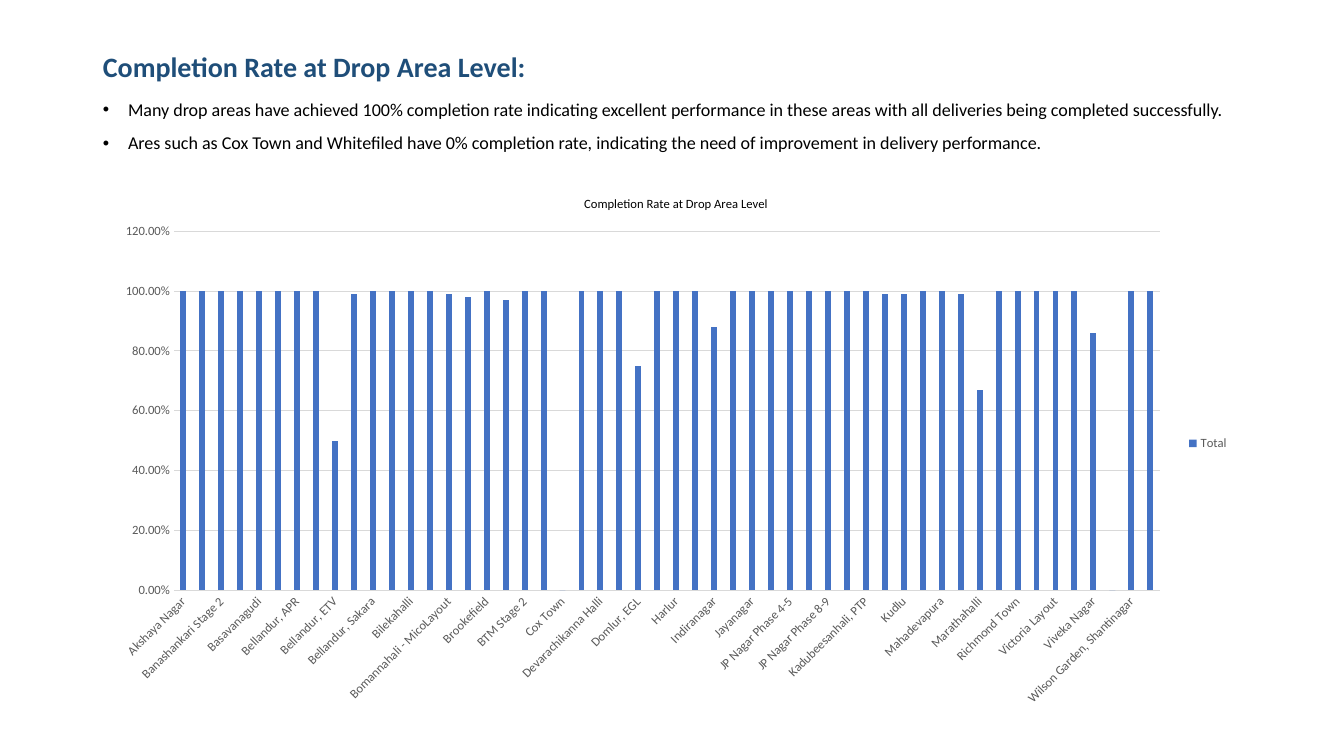
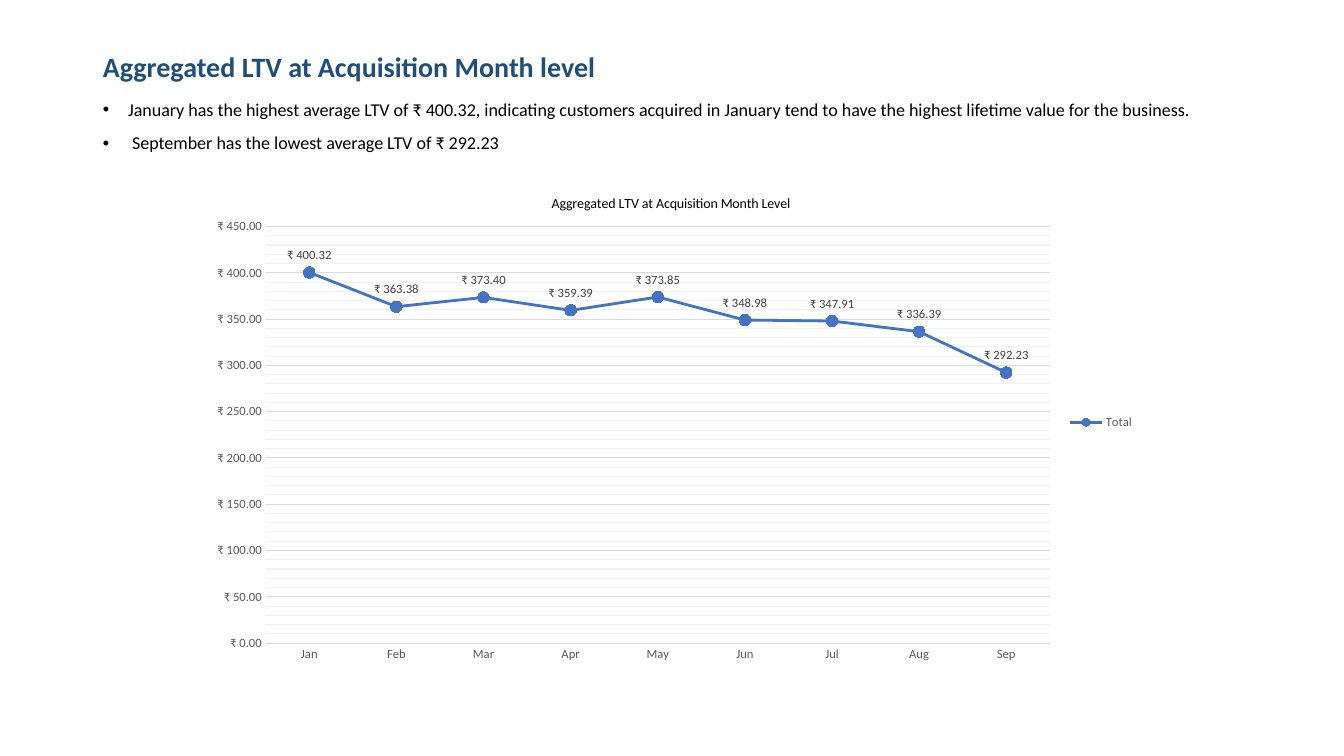
from pptx import Presentation
from pptx.chart.data import CategoryChartData
from pptx.dml.color import RGBColor
from pptx.enum.chart import (XL_CHART_TYPE, XL_LABEL_POSITION, XL_LEGEND_POSITION,
                             XL_MARKER_STYLE, XL_TICK_MARK)
from pptx.enum.text import MSO_ANCHOR, MSO_AUTO_SIZE, PP_ALIGN
from pptx.oxml import parse_xml
from pptx.oxml.ns import nsdecls, qn
from pptx.util import Inches, Pt

FONT = "Calibri"
NAVY = RGBColor(0x1F, 0x4E, 0x79)
BLUE = RGBColor(0x44, 0x72, 0xC4)
BLACK = RGBColor(0, 0, 0)
DARK = RGBColor(0x40, 0x40, 0x40)
GREY = RGBColor(0x59, 0x59, 0x59)
RULE = RGBColor(0xD9, 0xD9, 0xD9)
FAINT = RGBColor(0xF2, 0xF2, 0xF2)
RUPEES = '"₹"\\ #,##0.00'

# Content: completion rate is 1 unless listed as an exception
AREAS = [
    "Akshaya Nagar", "Arekere", "Banashankari Stage 2", "Bannerghatta", "Basavanagudi",
    "Bellandur - Off Sarjapur Road", "Bellandur, APR", "Bellandur, Workpark",
    "Bellandur, ETV", "Bellandur, Green Glen", "Bellandur, Sakara",
    "Bellandur, Sarjapur Road", "Bilekahalli", "Binnipet", "Bomannahali - MicoLayout",
    "Bommanahalli", "Brookefield", "BTM Stage 1", "BTM Stage 2", "Challagatta",
    "Cox Town", "CV Raman Nagar", "Devarachikanna Halli", "Doddanekundi", "Domlur, EGL",
    "Frazer Town", "Harlur", "HSR Layout", "Indiranagar", "ITI Layout", "Jayanagar",
    "JP Nagar Phase 1-3", "JP Nagar Phase 4-5", "JP Nagar Phase 6-7",
    "JP Nagar Phase 8-9", "Kadubeesanhali, Parkside", "Kadubeesanhali, PTP",
    "Koramangala, Ejipura", "Kudlu", "Kumaraswamy Layout", "Mahadevapura",
    "Manipal County", "Marathahalli", "Pattandur", "Richmond Town", "Sarjapur Road",
    "Victoria Layout", "Vimanapura", "Viveka Nagar", "Whitefield",
    "Wilson Garden, Shantinagar", "Yemalur",
]
BELOW_FULL = {
    "Bellandur, ETV": 0.5, "Bellandur, Green Glen": 0.99,
    "Bomannahali - MicoLayout": 0.99, "Bommanahalli": 0.98, "BTM Stage 1": 0.97,
    "Cox Town": 0, "Domlur, EGL": 0.75, "Indiranagar": 0.88, "Koramangala, Ejipura": 0.99,
    "Kudlu": 0.99, "Manipal County": 0.99, "Marathahalli": 0.67, "Viveka Nagar": 0.86,
    "Whitefield": 0,
}
LTV = {"Jan": 400.32, "Feb": 363.38, "Mar": 373.4, "Apr": 359.39, "May": 373.85,
       "Jun": 348.98, "Jul": 347.91, "Aug": 336.39, "Sep": 292.23}

# box: inches; plot and title_at: fractions of the chart
SLIDES = [
    dict(title="Completion Rate at Drop Area Level:",
         bullets=["Many drop areas have achieved 100% completion rate indicating excellent "
                  "performance in these areas with all deliveries being completed successfully.",
                  "Ares such as Cox Town and Whitefiled have 0% completion rate, indicating "
                  "the need of improvement in delivery performance."],
         kind=XL_CHART_TYPE.COLUMN_CLUSTERED, box=(1.05, 1.7, 11.24, 5.4),
         data={a: BELOW_FULL.get(a, 1) for a in AREAS}, fmt="0.00%", top=1.2, step=0.2,
         heading="Completion Rate at Drop Area Level", heading_size=9,
         title_at=(0.42, 0.04), plot=(0.06, 0.11, 0.87, 0.66)),
    dict(title="Aggregated LTV at Acquisition Month level",
         bullets=["January has the highest average LTV of ₹ 400.32, indicating customers "
                  "acquired in January tend to have the highest lifetime value for the business.",
                  " September has the lowest average LTV of ₹ 292.23"],
         kind=XL_CHART_TYPE.LINE_MARKERS, box=(1.98, 1.7, 9.37, 4.98),
         data=LTV, fmt=RUPEES, top=450, step=50,
         heading="Aggregated LTV at Acquisition Month Level", heading_size=10,
         title_at=(0.37, 0.04), plot=(0.07, 0.11, 0.83, 0.83)),
]


def set_font(font, size, color, bold=False):
    font.name, font.size, font.bold = FONT, Pt(size), bold
    font.color.rgb = color


def add_text(p, text, size, color, bold=False, before=0):
    p.alignment = PP_ALIGN.LEFT
    p.line_spacing = 0.9
    p.space_before = Pt(before)
    r = p.add_run()
    r.text = text
    set_font(r.font, size, color, bold)


def layout_xml(values, inner=False):
    names = ("x", "y", "w", "h")[:len(values)]
    target = '<c:layoutTarget val="inner"/>' if inner else ""
    modes = "".join(f'<c:{n}Mode val="edge"/>' for n in names[:2])
    sizes = "".join(f'<c:{n} val="{v}"/>' for n, v in zip(names, values))
    return parse_xml(f'<c:layout {nsdecls("c")}><c:manualLayout>{target}{modes}{sizes}'
                     '</c:manualLayout></c:layout>')


def place(element, layout, index):
    for old in element.findall(layout.tag):
        element.remove(old)
    element.insert(index, layout)


def rule(line, color):
    line.color.rgb = color
    line.width = Pt(0.75)


def add_minor_gridlines(axis, color):
    axis.has_minor_gridlines = True
    axis._element.find(qn("c:minorGridlines")).append(parse_xml(
        f'<c:spPr {nsdecls("c", "a")}><a:ln w="{Pt(0.75)}"><a:solidFill>'
        f'<a:srgbClr val="{color}"/></a:solidFill></a:ln></c:spPr>'))


def add_chart(s, c):
    data = CategoryChartData(number_format=c["fmt"])
    data.categories = list(c["data"])
    data.add_series("Total", list(c["data"].values()))
    chart = s.shapes.add_chart(c["kind"], *map(Inches, c["box"]), data).chart
    set_font(chart.font, 10, BLACK)

    # Heading, plot area and legend
    tf = chart.chart_title.text_frame
    r = tf.paragraphs[0].add_run()
    r.text = c["heading"]
    set_font(r.font, c["heading_size"], BLACK)
    chart.chart_title.include_in_layout = False
    place(chart.chart_title._element, layout_xml(c["title_at"]), 1)
    place(chart._chartSpace.chart.plotArea, layout_xml(c["plot"], inner=True), 0)
    chart.has_legend = True
    chart.legend.position = XL_LEGEND_POSITION.RIGHT
    chart.legend.include_in_layout = False
    set_font(chart.legend.font, 9, GREY)

    # Axes
    cat, val = chart.category_axis, chart.value_axis
    for axis in (cat, val):
        axis.major_tick_mark = axis.minor_tick_mark = XL_TICK_MARK.NONE
        set_font(axis.tick_labels.font, 9, GREY)
    rule(cat.format.line, RULE)
    val.format.line.fill.background()
    rule(val.major_gridlines.format.line, RULE)
    val.minimum_scale, val.maximum_scale, val.major_unit = 0, c["top"], c["step"]
    val.tick_labels.number_format = c["fmt"]
    val.tick_labels.number_format_is_linked = False

    # Series
    plot = chart.plots[0]
    plot.vary_by_categories = False
    series = plot.series[0]
    if c["kind"] == XL_CHART_TYPE.COLUMN_CLUSTERED:
        plot.gap_width, plot.overlap = 219, -27
        series.format.fill.solid()
        series.format.fill.fore_color.rgb = BLUE
        cat._element.txPr.bodyPr.set("rot", "-2700000")
        return
    val.minor_unit = c["step"] / 5
    add_minor_gridlines(val, FAINT)
    series.smooth = False
    series.format.line.color.rgb = BLUE
    series.format.line.width = Pt(2)
    marker = series.marker
    marker.style, marker.size = XL_MARKER_STYLE.CIRCLE, 8
    marker.format.fill.solid()
    marker.format.fill.fore_color.rgb = BLUE
    marker.format.line.color.rgb = BLUE
    labels = series.data_labels
    labels.show_value = True
    labels.position = XL_LABEL_POSITION.ABOVE
    labels.number_format = c["fmt"]
    labels.number_format_is_linked = False
    set_font(labels.font, 9, DARK)


def add_slide(prs, layout, c):
    s = prs.slides.add_slide(layout)
    title, body = s.shapes.title, s.placeholders[1]
    for sp, anchor in ((title, MSO_ANCHOR.MIDDLE), (body, MSO_ANCHOR.TOP)):
        sp.text_frame.auto_size = MSO_AUTO_SIZE.NONE
        sp.text_frame.word_wrap = True
        sp.text_frame.vertical_anchor = anchor
    add_text(title.text_frame.paragraphs[0], c["title"], 20, NAVY, bold=True)
    tf = body.text_frame
    for i, text in enumerate(c["bullets"]):
        p = tf.add_paragraph() if i else tf.paragraphs[0]
        add_text(p, text, 12.9, BLACK, before=10)
        pPr = p._p.get_or_add_pPr()
        pPr.set("marL", str(Inches(0.25)))
        pPr.set("indent", str(-Inches(0.25)))
    add_chart(s, c)


def main():
    prs = Presentation()
    prs.slide_width, prs.slide_height = Inches(13.33), Inches(7.5)
    # Shared title and body positions
    layout = prs.slide_layouts[1]
    for sp, top, height in zip(layout.placeholders, (0.4, 0.95), (0.55, 0.75)):
        sp.left, sp.top = Inches(0.92), Inches(top)
        sp.width, sp.height = Inches(11.5), Inches(height)
    for c in SLIDES:
        add_slide(prs, layout, c)
    prs.save("out.pptx")


if __name__ == "__main__":
    main()
